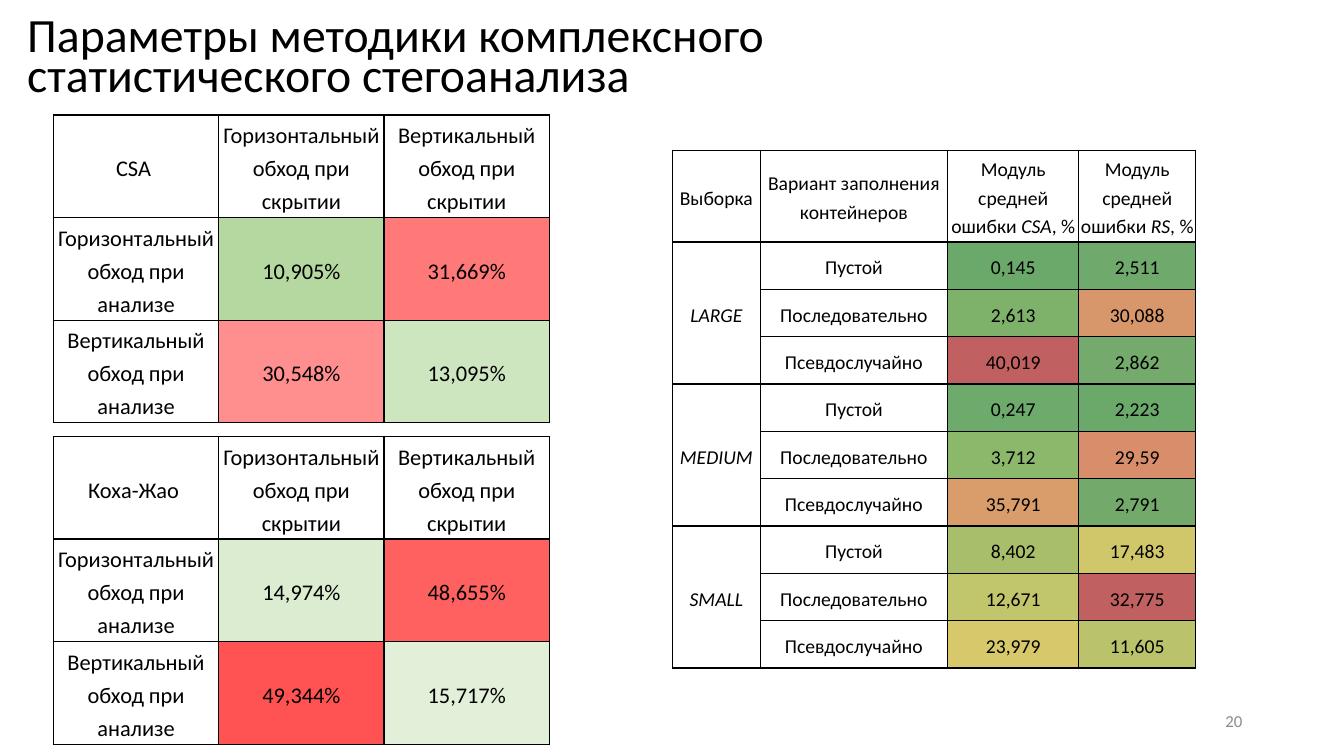
"""Build the slide with the parameters of complex statistical steganalysis."""
from dataclasses import dataclass
from typing import NamedTuple

from lxml import etree
from pptx import Presentation
from pptx import util as u
from pptx.dml.color import RGBColor
from pptx.enum import text as t
from pptx.oxml import ns

SCALE = 9144


@dataclass(frozen=True)
class Theme:
    font: str = "Calibri"
    ink: str = "000000"
    paper: str = "FFFFFF"
    muted: str = "8C8C8C"
    title: float = 34.1
    large: int = 16
    small: int = 14
    page: int = 12
    line: int = 1


class Cell(NamedTuple):
    text: str
    fill: str = Theme.paper


class Box(NamedTuple):
    left: int
    top: int
    width: int
    height: int


class Grid(NamedTuple):
    left: int
    top: int
    cols: list[int]
    rows: list[int]
    cells: list[list[Cell]]
    size: int
    span: int = 1


class Pass(NamedTuple):
    name: str
    top: int
    values: list[list[Cell]]


class Sample(NamedTuple):
    name: str
    values: list[list[Cell]]


THEME = Theme()
WAYS = ["Горизонтальный", "Вертикальный"]
MODES = ["Пустой", "Последовательно", "Псевдослучайно"]
HEADS = ["Выборка", "Вариант заполнения контейнеров",
         "Модуль средней ошибки *CSA*, %", "Модуль средней ошибки *RS*, %"]
PASSES = [
    Pass("CSA ", 114, [
        [Cell("10,905%", "B5D8A0"), Cell("31,669%", "FF7979")],
        [Cell("30,548%", "FF8F8F"), Cell("13,095%", "CEE6C0")]]),
    Pass("Коха-Жао ", 433, [
        [Cell("14,974%", "DBECD0"), Cell("48,655%", "FF6161")],
        [Cell("49,344%", "FF5353"), Cell("15,717%", "E2F0D9")]]),
]
SAMPLES = [
    Sample("LARGE", [
        [Cell("0,145", "6BA96B"), Cell("2,511", "6FA96B")],
        [Cell("2,613", "7EB26B"), Cell("30,088", "D8966B")],
        [Cell("40,019", "C06060"), Cell("2,862", "74AA6B")]]),
    Sample("MEDIUM", [
        [Cell("0,247", "6DAA6B"), Cell("2,223", "6BA96B")],
        [Cell("3,712", "8CB86B"), Cell("29,59", "D88E6B")],
        [Cell("35,791", "D89D6B"), Cell("2,791", "73AA6B")]]),
    Sample("SMALL", [
        [Cell("8,402", "A9BE6B"), Cell("17,483", "D0C76B")],
        [Cell("12,671", "C1C56B"), Cell("32,775", "C06060")],
        [Cell("23,979", "D6C86B"), Cell("11,605", "BAC36B")]]),
]


def px(n: int) -> u.Emu:
    """Turn px into EMU."""
    return u.Emu(n * SCALE)


def style(para, size: float, color: str, align) -> None:
    """Set the font and alignment of a paragraph."""
    para.alignment = align
    para.font.name = THEME.font
    para.font.size = u.Pt(size)
    para.font.color.rgb = RGBColor.from_string(color)


def edge(cell) -> None:
    """Draw the four borders of a table cell."""
    props = cell._tc.get_or_add_tcPr()
    for side in ("a:lnL", "a:lnR", "a:lnT", "a:lnB"):
        line = etree.SubElement(props, ns.qn(side), w=str(u.Pt(THEME.line)))
        fill = etree.SubElement(line, ns.qn("a:solidFill"))
        etree.SubElement(fill, ns.qn("a:srgbClr"), val=THEME.ink)


def fill_cell(cell, data: Cell, size: int) -> None:
    """Write one table cell, with text between asterisks in italics."""
    edge(cell)
    cell.fill.solid()
    cell.fill.fore_color.rgb = RGBColor.from_string(data.fill)
    cell.vertical_anchor = t.MSO_ANCHOR.MIDDLE
    cell.margin_left = cell.margin_right = px(2)
    cell.margin_top = cell.margin_bottom = px(2)
    para = cell.text_frame.paragraphs[0]
    para.line_spacing = 1.2
    para.space_after = u.Pt(8)
    style(para, size, THEME.ink, t.PP_ALIGN.CENTER)
    for i, part in enumerate(data.text.split("*")):
        if part:
            run = para.add_run()
            run.text = part
            if i % 2:
                run.font.italic = True


def draw_grid(slide, grid: Grid) -> None:
    """Draw a table, merging groups of rows in its first column."""
    table = slide.shapes.add_table(
        len(grid.rows), len(grid.cols), px(grid.left), px(grid.top),
        px(sum(grid.cols)), px(sum(grid.rows))).table
    table.first_row = table.horz_banding = False
    for col, width in zip(table.columns, grid.cols):
        col.width = px(width)
    for row, height in zip(table.rows, grid.rows):
        row.height = px(height)
    for r, line in enumerate(grid.cells):
        for c, data in enumerate(line):
            fill_cell(table.cell(r, c), data, grid.size)
    if grid.span > 1:
        for r in range(1, len(grid.rows), grid.span):
            table.cell(r, 0).merge(table.cell(r + grid.span - 1, 0))


def pass_grid(item: Pass) -> Grid:
    """Lay out the table of one method."""
    head = [Cell(item.name)] + [Cell(f"{w} обход при скрытии") for w in WAYS]
    body = [[Cell(f"{w} обход при анализе"), *vals]
            for w, vals in zip(WAYS, item.values)]
    return Grid(53, item.top, [164] * 3, [101] * 3, [head, *body], THEME.large)


def sample_grid() -> Grid:
    """Lay out the table of mean errors."""
    cells = [[Cell(h) for h in HEADS]]
    for item in SAMPLES:
        for i, (mode, vals) in enumerate(zip(MODES, item.values)):
            name = "" if i else f"*{item.name}*"
            cells.append([Cell(name), Cell(mode), *vals])
    rows = [91] + [47] * (len(cells) - 1)
    return Grid(667, 149, [87, 186, 130, 116], rows, cells, THEME.small,
                len(MODES))


def write(shape, box: Box, words: str, size: float, color: str, align, anchor):
    """Place a text shape, fill it and return its paragraph."""
    shape.left, shape.top, shape.width, shape.height = map(px, box)
    frame = shape.text_frame
    frame.word_wrap = True
    frame.auto_size = t.MSO_AUTO_SIZE.NONE
    frame.vertical_anchor = anchor
    frame.text = words
    para = frame.paragraphs[0]
    style(para, size, color, align)
    return para


def main() -> None:
    """Build and save the slide."""
    deck = Presentation()
    deck.slide_width, deck.slide_height = px(1333), px(750)
    slide = deck.slides.add_slide(deck.slide_layouts[5])
    head = write(slide.shapes.title, Box(17, 15, 803, 134),
                 "Параметры методики комплексного статистического стегоанализа",
                 THEME.title, THEME.ink, t.PP_ALIGN.LEFT, t.MSO_ANCHOR.TOP)
    head.line_spacing = 0.7
    page = Box(942, 695, 300, 40)
    write(slide.shapes.add_textbox(*map(px, page)), page, "20", THEME.page,
          THEME.muted, t.PP_ALIGN.RIGHT, t.MSO_ANCHOR.MIDDLE)
    for grid in [*map(pass_grid, PASSES), sample_grid()]:
        draw_grid(slide, grid)
    deck.save("out.pptx")


if __name__ == "__main__":
    main()
